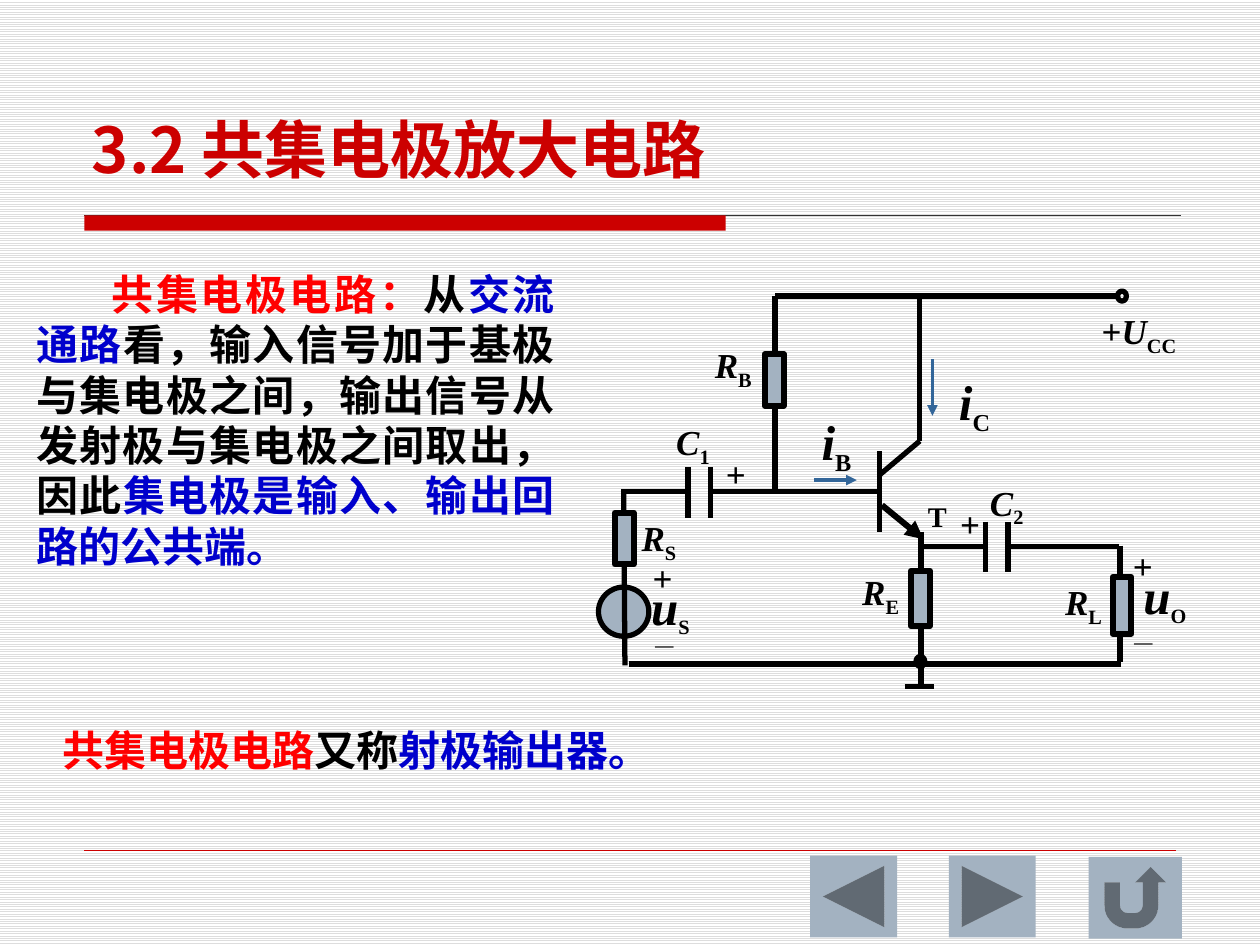
"""Builds the slide on the common-collector amplifier."""
from dataclasses import dataclass
from lxml import etree
from pptx import Presentation
from pptx.dml.color import RGBColor
from pptx.enum.dml import MSO_PATTERN
from pptx.enum.shapes import MSO_CONNECTOR, MSO_SHAPE
from pptx.enum.text import MSO_ANCHOR, PP_ALIGN
from pptx.oxml.ns import qn
from pptx.util import Inches, Pt

BOX, OVAL = MSO_SHAPE.RECTANGLE, MSO_SHAPE.OVAL
BACK = MSO_SHAPE.ACTION_BUTTON_BACK_OR_PREVIOUS
NEXT = MSO_SHAPE.ACTION_BUTTON_FORWARD_OR_NEXT
HOME = MSO_SHAPE.ACTION_BUTTON_RETURN
STRAIGHT = MSO_CONNECTOR.STRAIGHT
STRIPES = MSO_PATTERN.LIGHT_HORIZONTAL
BOTTOM = MSO_ANCHOR.BOTTOM
LEFT, MID, FULL = PP_ALIGN.LEFT, PP_ALIGN.CENTER, PP_ALIGN.JUSTIFY


@dataclass(frozen=True)
class Theme:
    ink: str = "000000"
    brand: str = "CC0000"
    red: str = "FF0000"
    blue: str = "0000CC"
    steel: str = "A3B2C1"
    flow: str = "336699"
    rule: str = "333333"
    shade: str = "C0C0C0"
    stripe: str = "DDDDDD"
    paper: str = "FFFFFF"
    han: str = "Noto Sans CJK SC"
    roman: str = "Times New Roman"
    title: int = 36
    body: int = 24
    big: int = 28
    sign: int = 20
    minus: int = 14
    wire: float = 3
    edge: float = 3.5


def rgb(code):
    return RGBColor.from_string(code)


class Page:
    def __init__(self, deck, theme):
        self.theme = theme
        self.slide = deck.slides.add_slide(deck.slide_layouts[5])
        fill = self.slide.background.fill
        fill.patterned()
        fill.pattern = STRIPES
        fill.fore_color.rgb = rgb(theme.stripe)
        fill.back_color.rgb = rgb(theme.paper)

    def line(self, x1, y1, x2, y2, color=None, width=None, arrow=False):
        ends = [Inches(v) for v in (x1, y1, x2, y2)]
        wire = self.slide.shapes.add_connector(STRAIGHT, *ends)
        wire.line.color.rgb = rgb(color or self.theme.ink)
        wire.line.width = Pt(width or self.theme.wire)
        if arrow:
            pen = wire.line._get_or_add_ln()
            etree.SubElement(pen, qn("a:tailEnd"), type="triangle")
        etree.SubElement(wire._element.spPr, qn("a:effectLst"))

    def shape(self, kind, at, fill=None, width=None):
        part = self.slide.shapes.add_shape(kind, *[Inches(v) for v in at])
        part.shadow.inherit = False
        if fill:
            part.fill.solid()
            part.fill.fore_color.rgb = rgb(fill)
        else:
            part.fill.background()
        if width:
            part.line.color.rgb = rgb(self.theme.ink)
            part.line.width = Pt(width)
        else:
            part.line.fill.background()

    def run(self, para, text, size, color, face, slant=False, sub=False, shade=False):
        run = para.add_run()
        run.text = text
        font = run.font
        font.size, font.bold, font.italic = Pt(size), True, slant
        font.color.rgb = rgb(color)
        prop = run._r.get_or_add_rPr()
        if sub:
            prop.set("baseline", "-25000")
        if shade:
            group = etree.SubElement(prop, qn("a:effectLst"))
            cast = etree.SubElement(group, qn("a:outerShdw"), dist="38100", dir="2700000")
            etree.SubElement(cast, qn("a:srgbClr"), val=self.theme.shade)
        font.name = face
        etree.SubElement(prop, qn("a:ea"), typeface=face)

    def text(self, at, wrap, align):
        box = self.slide.shapes.add_textbox(*[Inches(v) for v in at])
        box.text_frame.word_wrap = wrap
        para = box.text_frame.paragraphs[0]
        para.alignment = align
        return para

    def title(self, at, text):
        head = self.slide.shapes.title
        head.left, head.top, head.width, head.height = [Inches(v) for v in at]
        frame = head.text_frame
        frame.vertical_anchor, frame.margin_bottom = BOTTOM, 0
        para = frame.paragraphs[0]
        para.alignment = LEFT
        self.run(para, text, self.theme.title, self.theme.brand, self.theme.han)

    def label(self, at, *runs):
        para = self.text(at, False, MID)
        for text, size, slant, sub in runs:
            self.run(para, text, size, self.theme.ink, self.theme.roman, slant, sub)

    def symbol(self, at, name, low, size, small):
        self.label(at, (name, size, True, False), (low, small, False, True))

    def prose(self, at, indent, *runs):
        para = self.text(at, True, FULL)
        para.line_spacing = Pt(self.theme.body * 1.2)
        para._p.get_or_add_pPr().set("indent", str(Inches(indent)))
        for text, color in runs:
            self.run(para, text, self.theme.body, color, self.theme.han, shade=True)


deck = Presentation()
deck.slide_width, deck.slide_height = Inches(10), Inches(7.5)
look = Theme()
page = Page(deck, look)

page.line(0.67, 1.71, 9.37, 1.71, look.rule, 0.75)
page.shape(BOX, (0.67, 1.71, 5.09, 0.12), look.brand)
page.line(0.67, 6.75, 9.33, 6.75, look.brand, 0.25)
page.title((0.63, 0.33, 8.75, 1.15), "3.2 共集电极放大电路")

page.shape(OVAL, (4.75, 4.66, 0.4, 0.39), look.steel, look.wire)
WIRES = [
    (6.15, 2.35, 8.89, 2.35), (6.15, 2.35, 6.15, 3.92), (7.3, 2.35, 7.3, 3.5),
    (6.98, 3.77, 7.3, 3.5), (6.98, 3.58, 6.98, 4.22), (5.64, 3.9, 6.97, 3.9),
    (4.93, 3.9, 5.47, 3.9), (4.95, 3.91, 4.96, 5.28), (4.99, 5.27, 8.9, 5.27),
    (7.31, 4.22, 7.31, 5.45), (7.18, 5.45, 7.41, 5.45), (7.29, 4.34, 7.82, 4.34),
    (8.02, 4.34, 8.88, 4.34), (8.89, 4.33, 8.89, 5.25),
]
for ends in WIRES:
    page.line(*ends)
for x, y in ((5.46, 3.71), (5.64, 3.71), (7.82, 4.14), (8, 4.14)):
    page.line(x, y, x, y + 0.4)
page.line(7, 4.01, 7.33, 4.28, width=look.edge, arrow=True)
for ends in ((7.4, 2.85, 7.4, 3.3), (6.46, 3.81, 6.8, 3.81)):
    page.line(*ends, look.flow, 2, True)
for x, y, tall in ((6.07, 2.81, 0.41), (4.88, 4.07, 0.41), (7.23, 4.53, 0.44), (8.83, 4.58, 0.45)):
    page.shape(BOX, (x, y, 0.15, tall), look.steel, look.edge)
for x, y in ((7.27, 5.21), (8.87, 2.31)):
    page.shape(OVAL, (x, y, 0.07, 0.08), width=look.wire)

SMALL = [
    (5.57, 2.68, "R", "B"), (4.98, 4.05, "R", "S"), (6.74, 4.48, "R", "E"),
    (8.35, 4.56, "R", "L"), (5.25, 3.29, "C", "1"), (7.74, 3.77, "C", "2"),
]
for x, y, name, low in SMALL:
    page.symbol((x, y, 0.5, 0.43), name, low, look.sign, look.sign)
LARGE = [
    (5.06, 4.53, 0.52, "u", "S", look.sign), (8.92, 4.44, 0.65, "u", "O", look.sign),
    (7.5, 2.9, 0.47, "i", "C", look.body), (6.41, 3.22, 0.46, "i", "B", look.body),
]
for x, y, wide, name, low, small in LARGE:
    page.symbol((x, y, wide, 0.57), name, low, look.big, small)
for x, y in ((8.89, 4.27), (5.66, 3.54), (7.52, 3.94), (5.08, 4.37)):
    page.label((x, y, 0.36, 0.43), ("+", look.sign, False, False))
for x, y in ((8.88, 4.94), (5.08, 4.97)):
    page.label((x, y, 0.4, 0.33), ("－", look.minus, False, False))
page.label((7.25, 3.65, 0.38, 0.42), ("T", look.big, False, True))
page.label((8.63, 2.41, 0.82, 0.43), ("+", look.sign, False, False),
           ("U", look.sign, True, False), ("CC", look.sign, False, True))

for kind, x, y, wide in ((BACK, 6.43, 6.79, 0.69), (NEXT, 7.53, 6.79, 0.69), (HOME, 8.64, 6.8, 0.74)):
    page.shape(kind, (x, y, wide, 0.65), look.steel)

page.prose((0.19, 2.08, 4.31, 2.52), 0.6,
           ("共集电极电路：", look.red), ("从", look.ink), ("交流通路", look.blue),
           ("看，输入信号加于基极与集电极之间，输出信号从发射极与集电极之间取出，因此", look.ink),
           ("集电极是输入、输出回路的公共端。", look.blue))
page.prose((0.4, 5.7, 5.05, 0.5), 0,
           ("共集电极电路", look.red), ("又称", look.ink), ("射极输出器。", look.blue))

deck.save("out.pptx")
